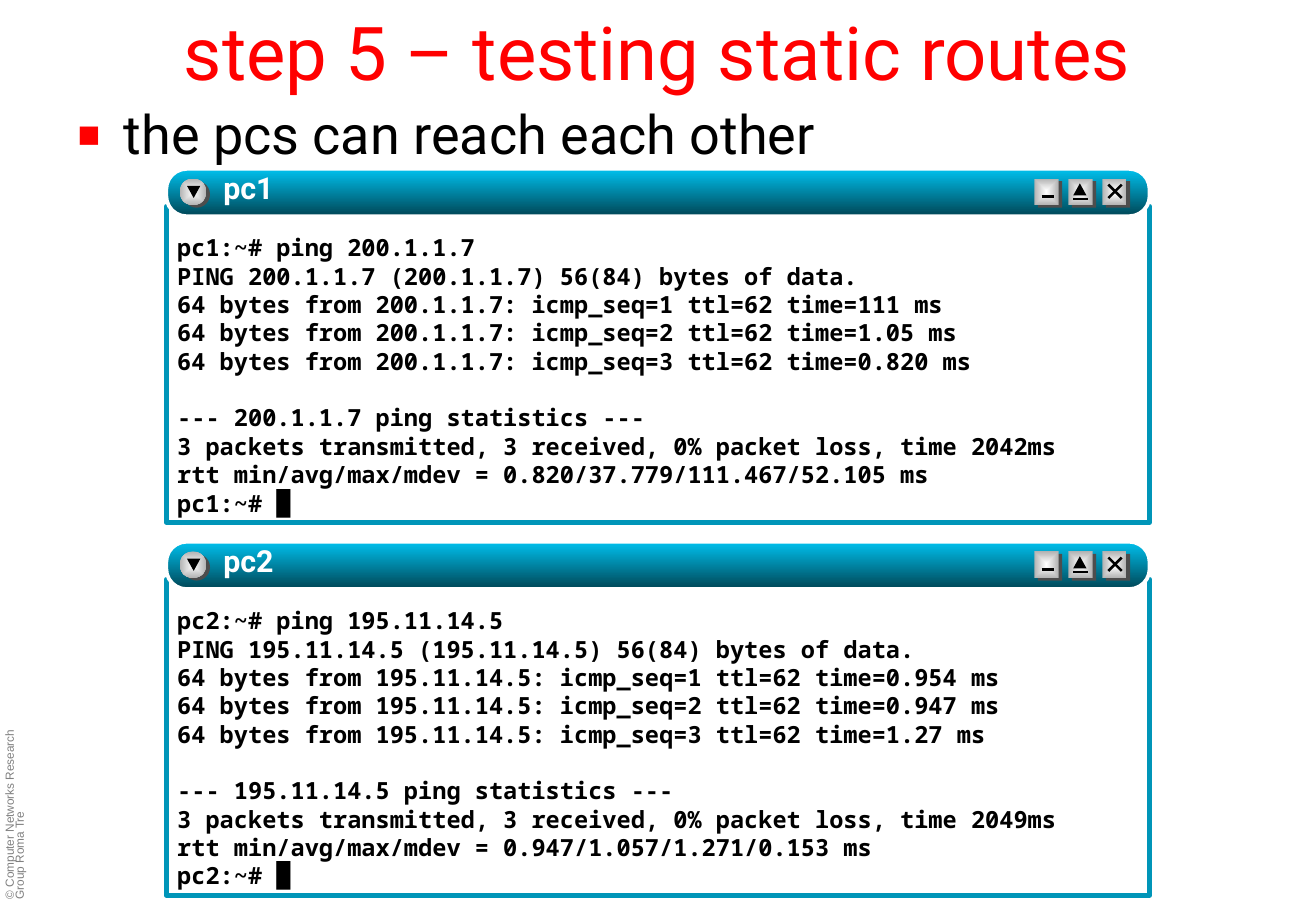
from lxml.etree import SubElement
from pptx import Presentation
from pptx.dml.color import RGBColor
from pptx.enum.shapes import MSO_CONNECTOR, MSO_SHAPE as SHAPE
from pptx.enum.text import MSO_ANCHOR, PP_ALIGN
from pptx.oxml.ns import qn
from pptx.util import Inches, Pt

COLORS = {
    "red": "FF0000", "black": "000000", "white": "FFFFFF", "gray": "808080",
    "border": "0095B8", "bar_top": "00C1EE", "bar_bottom": "004656",
    "button": "B2B2B2", "button_shadow": "4D4D4D",
}
LINE_PITCH = Pt(16.8)
PC1_OUTPUT = """pc1:~# ping 200.1.1.7
PING 200.1.1.7 (200.1.1.7) 56(84) bytes of data.
64 bytes from 200.1.1.7: icmp_seq=1 ttl=62 time=111 ms
64 bytes from 200.1.1.7: icmp_seq=2 ttl=62 time=1.05 ms
64 bytes from 200.1.1.7: icmp_seq=3 ttl=62 time=0.820 ms

--- 200.1.1.7 ping statistics ---
3 packets transmitted, 3 received, 0% packet loss, time 2042ms
rtt min/avg/max/mdev = 0.820/37.779/111.467/52.105 ms
pc1:~# █"""
PC2_OUTPUT = """pc2:~# ping 195.11.14.5
PING 195.11.14.5 (195.11.14.5) 56(84) bytes of data.
64 bytes from 195.11.14.5: icmp_seq=1 ttl=62 time=0.954 ms
64 bytes from 195.11.14.5: icmp_seq=2 ttl=62 time=0.947 ms
64 bytes from 195.11.14.5: icmp_seq=3 ttl=62 time=1.27 ms

--- 195.11.14.5 ping statistics ---
3 packets transmitted, 3 received, 0% packet loss, time 2049ms
rtt min/avg/max/mdev = 0.947/1.057/1.271/0.153 ms
pc2:~# █"""


def rgb(name):
    """Return the named colour."""
    return RGBColor.from_string(COLORS[name])


def add_text_frame(shapes, x, y, w, h, inset=(0.1, 0.05)):
    """Add a wrapping text box and return its frame."""
    tf = shapes.add_textbox(Inches(x), Inches(y), Inches(w), Inches(h)).text_frame
    tf.word_wrap = True
    tf.margin_left = tf.margin_right = Inches(inset[0])
    tf.margin_top = tf.margin_bottom = Inches(inset[1])
    return tf


def add_run(p, text, size, font, color, bold=False):
    """Add a formatted run to a paragraph."""
    r = p.add_run()
    r.text = text
    r.font.size, r.font.name, r.font.bold = Pt(size), font, bold
    r.font.color.rgb = rgb(color)
    return r


def add_shape(shapes, kind, x, y, w, h, fill, line=None, width=0):
    """Add a flat shape with a solid or two-colour fill."""
    sp = shapes.add_shape(kind, Inches(x), Inches(y), Inches(w), Inches(h))
    sp.shadow.inherit = False
    if isinstance(fill, tuple):
        sp.fill.gradient()
        sp.fill.gradient_angle = 270
        for stop, name in zip(sp.fill.gradient_stops, fill):
            stop.color.rgb = rgb(name)
    else:
        sp.fill.solid()
        sp.fill.fore_color.rgb = rgb(fill)
    if line:
        sp.line.color.rgb = rgb(line)
        sp.line.width = Pt(width)
    else:
        sp.line.fill.background()
    return sp


def add_stroke(shapes, x1, y1, x2, y2):
    """Add a thin black line for a button symbol."""
    c = shapes.add_connector(MSO_CONNECTOR.STRAIGHT, Inches(x1), Inches(y1), Inches(x2), Inches(y2))
    c.line.color.rgb = rgb("black")
    c.line.width = Pt(1.5)
    SubElement(c._element.spPr, qn("a:effectLst"))


def add_button(shapes, kind, x, y, w):
    """Add a button face that shades from its centre, over its drop shadow."""
    add_shape(shapes, kind, x + 0.03, y + 0.02, w, 0.22, "button_shadow")
    face = add_shape(shapes, kind, x, y, w, 0.22, ("white", "button"))
    grad = face._element.spPr.find(qn("a:gradFill"))
    grad.remove(grad.find(qn("a:lin")))
    radial = SubElement(grad, qn("a:path"))
    radial.set("path", "rect")
    center = SubElement(radial, qn("a:fillToRect"))
    for side in "ltrb":
        center.set(side, "50000")


def add_text_shadow(r):
    """Give a run a black drop shadow."""
    effects = SubElement(r.font._element, qn("a:effectLst"))
    shadow = SubElement(effects, qn("a:outerShdw"), dist="17961", dir="2700000")
    SubElement(shadow, qn("a:srgbClr"), val=COLORS["black"])
    r.font._element.find(qn("a:latin")).addprevious(effects)


def add_title_bar(shapes, name, x, y, w):
    """Add a window's title bar with its name and buttons."""
    bar = add_shape(shapes, SHAPE.ROUNDED_RECTANGLE, x, y, w, 0.39,
                    ("bar_top", "bar_bottom"), "white", 2.25)
    bar.adjustments[0] = 0.43
    top = y + 0.08
    add_button(shapes, SHAPE.OVAL, x + 0.11, top, 0.22)
    add_shape(shapes, SHAPE.ISOSCELES_TRIANGLE, x + 0.17, y + 0.14, 0.11, 0.1, "black").rotation = 180

    minimize, maximize, close = (x + w - 0.95 + 0.28 * i for i in range(3))
    for left in (minimize, maximize, close):
        add_button(shapes, SHAPE.RECTANGLE, left, top, 0.2)
    add_stroke(shapes, minimize + 0.06, top + 0.15, minimize + 0.16, top + 0.15)
    add_stroke(shapes, maximize + 0.04, top + 0.17, maximize + 0.16, top + 0.17)
    add_shape(shapes, SHAPE.ISOSCELES_TRIANGLE, maximize + 0.04, top + 0.04, 0.11, 0.1, "black")
    for start, end in ((0.16, 0.05), (0.05, 0.16)):
        add_stroke(shapes, close + 0.05, top + start, close + 0.16, top + end)

    tf = add_text_frame(shapes, x + 0.47, y, w - 1.57, 0.39, (0, 0))
    add_text_shadow(add_run(tf.paragraphs[0], name, 18, "Roboto", "white", True))


def add_terminal(slide, name, output, x, y, w, h):
    """Add a terminal window with its output."""
    shapes = slide.shapes.add_group_shape().shapes
    add_shape(shapes, SHAPE.RECTANGLE, x, y + 0.31, w, h - 0.31, "white", "border", 3)
    tf = add_text_frame(shapes, x + 0.01, y + 0.49, w - 0.01, h - 0.49, (0.08, 0.04))
    p = tf.paragraphs[0]
    for b, block in enumerate(output.split("\n\n")):
        for i, line in enumerate(block.split("\n")):
            if b or i:
                p = tf.add_paragraph()
            p.line_spacing = LINE_PITCH
            if b and i == 0:
                p.space_before = LINE_PITCH
            add_run(p, line, 14, "Noto Sans Mono", "black", True)
    add_title_bar(shapes, name, x, y, w)


def add_heading(slide, x, y, w):
    """Add the slide title and the bullet under it."""
    tf = add_text_frame(slide.shapes, x, y, w, 0.84)
    tf.vertical_anchor = MSO_ANCHOR.MIDDLE
    p = tf.paragraphs[0]
    p.alignment = PP_ALIGN.CENTER
    add_run(p, "step 5 – testing static routes", 44, "Roboto", "red")

    p = add_text_frame(slide.shapes, x, y + 0.84, w, 0.63).paragraphs[0]
    p.line_spacing = 0.9
    pPr = p._p.get_or_add_pPr()
    pPr.set("marL", str(Inches(0.38)))
    pPr.set("indent", str(-Inches(0.38)))
    SubElement(SubElement(pPr, qn("a:buClr")), qn("a:srgbClr"), val=COLORS["red"])
    SubElement(pPr, qn("a:buSzPct"), val="70000")
    SubElement(pPr, qn("a:buFont"), typeface="Arial")
    SubElement(pPr, qn("a:buChar"), char="■")
    add_run(p, "the pcs can reach each other", 32, "Roboto", "black")


def add_copyright(slide, x, y, w, h):
    """Add the copyright line, turned to read upwards."""
    sp = slide.shapes.add_textbox(Inches(x), Inches(y), Inches(w), Inches(h))
    sp.rotation = 270
    sp.text_frame.word_wrap = True
    p = sp.text_frame.paragraphs[0]
    p.line_spacing = 0.7
    add_run(p, "© Computer Networks Research Group Roma Tre", 7, "Arial", "gray")


def main():
    """Build and save the slide."""
    prs = Presentation()
    prs.slide_width, prs.slide_height = Inches(10.84), Inches(7.5)
    slide = prs.slides.add_slide(prs.slide_layouts[6])
    add_heading(slide, 0.54, 0, 9.75)
    for i, (name, output) in enumerate((("pc1", PC1_OUTPUT), ("pc2", PC2_OUTPUT))):
        add_terminal(slide, name, output, 1.37, 1.39 + 3.07 * i, 8.1, 2.91)
    add_copyright(slide, -0.76, 6.38, 1.88, 0.36)
    prs.save("out.pptx")


if __name__ == "__main__":
    main()
